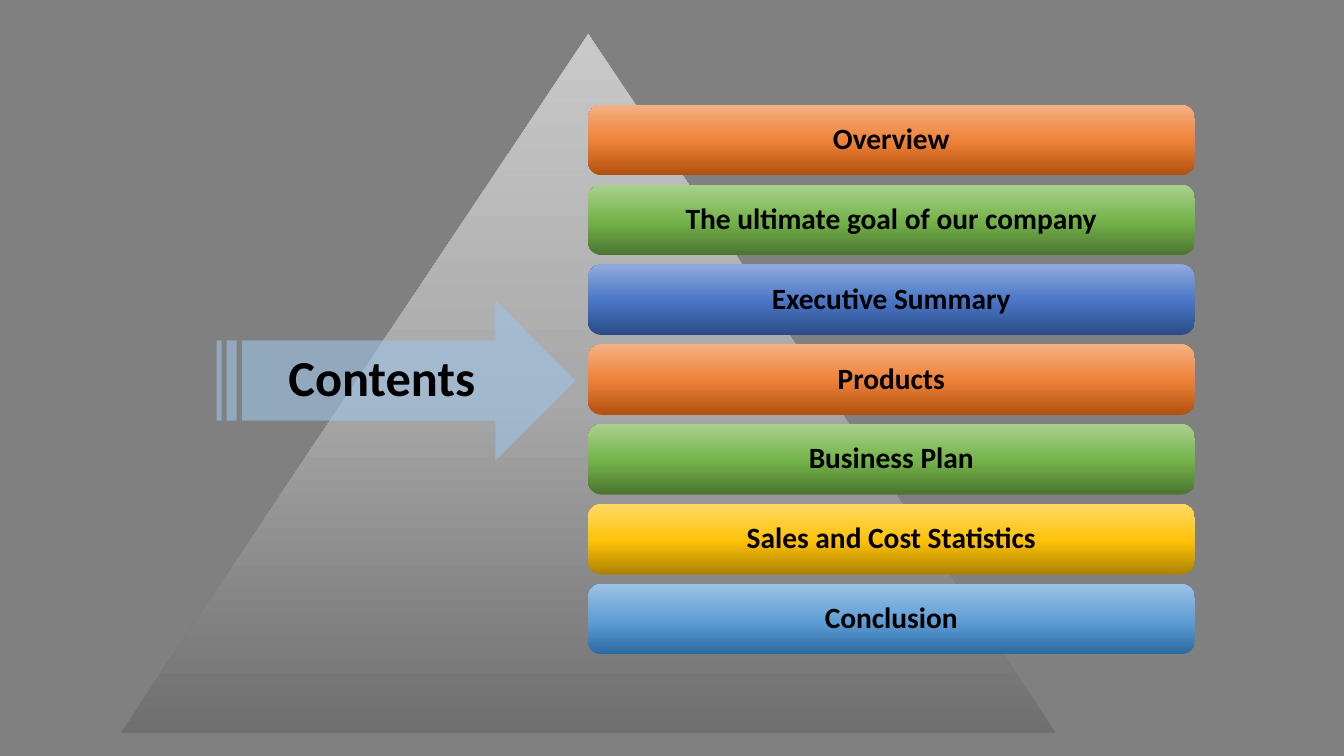
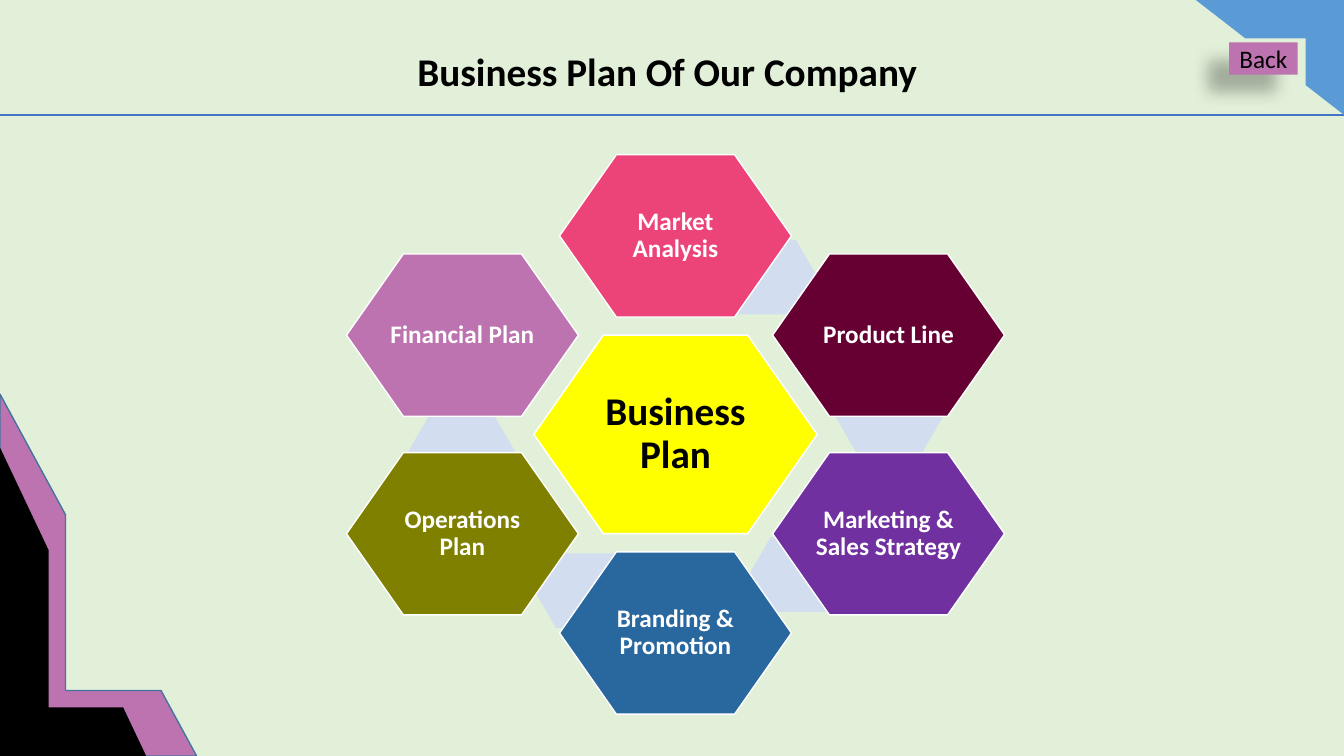
from dataclasses import dataclass
from math import cos, radians, sin
from copy import deepcopy
from lxml.etree import SubElement
from pptx import Presentation
from pptx.dml.color import RGBColor as RGB
from pptx.enum.shapes import MSO_CONNECTOR as LINE, MSO_SHAPE as KIND
from pptx.enum.text import MSO_ANCHOR as ANCHOR, MSO_AUTO_SIZE as FIT, PP_ALIGN as ALIGN
from pptx.oxml.ns import qn
from pptx.util import Inches, Pt


@dataclass(frozen=True)
class Theme:
    font: str = "Calibri"
    gray: str = "808080"
    mint: str = "E2F0D9"
    black: str = "000000"
    white: str = "FFFFFF"
    sky: str = "9DC3E6"
    blue: str = "5B9BD5"
    rule: str = "4472C4"
    edge: str = "43739E"
    mauve: str = "BD73AF"
    pale: str = "D2DEEF"
    yellow: str = "FFFF00"
    # Gradients run from bottom to top.
    silver: tuple = ("6F6F6F", "A8A8A8", "C9C9C9")
    orange: tuple = ("B0500F", "EE8137", "F4B183")
    green: tuple = ("4B7430", "74B349", "A9D18E")
    navy: tuple = ("2A4B86", "4A76C6", "8FAADC")
    gold: tuple = ("AB8100", "FFC208", "FFD966")
    azure: tuple = ("2A69A2", "609ED6", "9DC3E6")
    cover: int = 36
    head: int = 28
    bar: int = 21
    body: int = 18


T = Theme()


def draw(slide, kind, box, fill, line=None, turn=0):
    """Add a shape that covers box (left, top, width, height) after its turn."""
    left, top, wide, high = box
    if turn in (90, 270):
        left, top = left + (wide - high) / 2, top + (high - wide) / 2
        wide, high = high, wide
    shape = slide.shapes.add_shape(kind, *map(Inches, (left, top, wide, high)))
    shape.rotation = turn
    shape.shadow.inherit = False
    if isinstance(fill, tuple):
        shape.fill.gradient()
        shape.fill.gradient_angle = 90
        stops = shape._element.spPr.find(".//" + qn("a:gsLst"))
        stops.append(deepcopy(stops[0]))
        for stop, place, tone in zip(shape.fill.gradient_stops, (0, 0.48, 1), fill):
            stop.position = place
            stop.color.rgb = RGB.from_string(tone)
    else:
        shape.fill.solid()
        shape.fill.fore_color.rgb = RGB.from_string(fill)
    if line:
        shape.line.color.rgb = RGB.from_string(line)
        shape.line.width = Pt(1)
    else:
        shape.line.fill.background()
    return shape


def write(shape, text, size, color=T.black, bold=True, align=ALIGN.CENTER, space=0.9):
    frame = shape.text_frame
    frame.text = text
    frame.vertical_anchor = ANCHOR.MIDDLE
    para = frame.paragraphs[0]
    para.alignment = align
    para.line_spacing = space
    font = para.runs[0].font
    font.name, font.size, font.bold = T.font, Pt(size), bold
    font.color.rgb = RGB.from_string(color)


deck = Presentation()
deck.slide_width, deck.slide_height = Inches(13.33), Inches(7.5)

pages = []
for tone, text, size, box in (
    (T.gray, "Contents", T.cover, (2.76, 3.38, 2.6, 0.71)),
    (T.mint, "Business Plan Of Our Company", T.head, (4.04, 0.42, 5.46, 0.57)),
):
    page = deck.slides.add_slide(deck.slide_layouts[5])
    page.background.fill.solid()
    page.background.fill.fore_color.rgb = RGB.from_string(tone)
    title = page.shapes.title
    title.left, title.top, title.width, title.height = map(Inches, box)
    write(title, text, size, align=ALIGN.LEFT, space=1)
    title.text_frame.auto_size = FIT.NONE
    pages.append(page)
menu, plan = pages

# Contents
draw(menu, KIND.ISOSCELES_TRIANGLE, (1.2, 0.34, 9.27, 6.93), T.silver)
bars = (
    ("Overview", T.orange),
    ("The ultimate goal of our company", T.green),
    ("Executive Summary", T.navy),
    ("Products", T.orange),
    ("Business Plan", T.green),
    ("Sales and Cost Statistics", T.gold),
    ("Conclusion", T.azure),
)
for row, (text, tones) in enumerate(bars):
    bar = draw(menu, KIND.ROUNDED_RECTANGLE, (5.83, 1.04 + row * 0.792, 6.02, 0.7), tones)
    bar.adjustments[0] = 0.2
    write(bar, text, T.bar)
arrow = draw(menu, KIND.STRIPED_RIGHT_ARROW, (2.15, 2.98, 3.56, 1.59), T.sky)
tint = arrow._element.spPr.find(".//" + qn("a:srgbClr"))
SubElement(tint, qn("a:alpha"), val="60000")
# The title lies on top of the arrow.
menu.shapes._spTree.append(menu.shapes.title._element)

# Business plan
for left, top in ((7.05, 2.38), (8.29, 3.77), (7.43, 5.33), (5.3, 5.49), (4.05, 4.11)):
    link = draw(plan, KIND.HEXAGON, (left, top, 1.06, 0.74), T.pale)
    link.adjustments[0] = 0.29

mid_x, mid_y = 6.7, 4.31
cells = [("Business Plan", mid_x, mid_y, 2.81, 1.97, T.yellow, T.black, T.head)]
ring = (
    ("Market Analysis", "EC4478"),
    ("Product Line", "660033"),
    ("Marketing & Sales Strategy", "7030A0"),
    ("Branding & Promotion", "29679F"),
    ("Operations Plan", "808000"),
    ("Financial Plan", T.mauve),
)
for step, (text, tone) in enumerate(ring):
    angle = radians(60 * step)
    x, y = mid_x + 2.44 * sin(angle), mid_y - 1.97 * cos(angle)
    cells.append((text, x, y, 2.3, 1.61, tone, T.white, T.body))
for text, x, y, wide, high, tone, ink, size in cells:
    cell = draw(plan, KIND.HEXAGON, (x - wide / 2, y - high / 2, wide, high), tone, T.white)
    cell.adjustments[0] = 0.35
    frame = cell.text_frame
    frame.margin_left = frame.margin_right = frame.margin_top = frame.margin_bottom = 0
    write(cell, text, size, ink)

rule = plan.shapes.add_connector(LINE.STRAIGHT, 0, Inches(1.14), deck.slide_width, Inches(1.14))
rule.line.color.rgb = RGB.from_string(T.rule)
rule.line.width = Pt(1.5)
SubElement(rule._element.spPr, qn("a:effectLst"))

for box, tone, line, turn in (
    ((11.86, 0, 1.47, 1.14), T.blue, None, 90),
    ((0, 3.91, 1.95, 3.59), T.mauve, T.edge, 270),
    ((0, 4.44, 1.45, 3.06), T.black, None, 270),
):
    draw(plan, KIND.HALF_FRAME, box, tone, line, turn)

back = draw(plan, KIND.RECTANGLE, (12.19, 0.42, 0.68, 0.32), T.mauve)
write(back, "Back", T.body, bold=False, space=1)
glow = SubElement(
    back._element.spPr.find(qn("a:effectLst")), qn("a:outerShdw"),
    blurRad=str(Pt(11.8)), dist=str(Pt(19.7)), dir=str(141 * 60000), rotWithShape="0",
)
shade = SubElement(glow, qn("a:srgbClr"), val=T.black)
SubElement(shade, qn("a:alpha"), val="28000")

deck.save("out.pptx")
